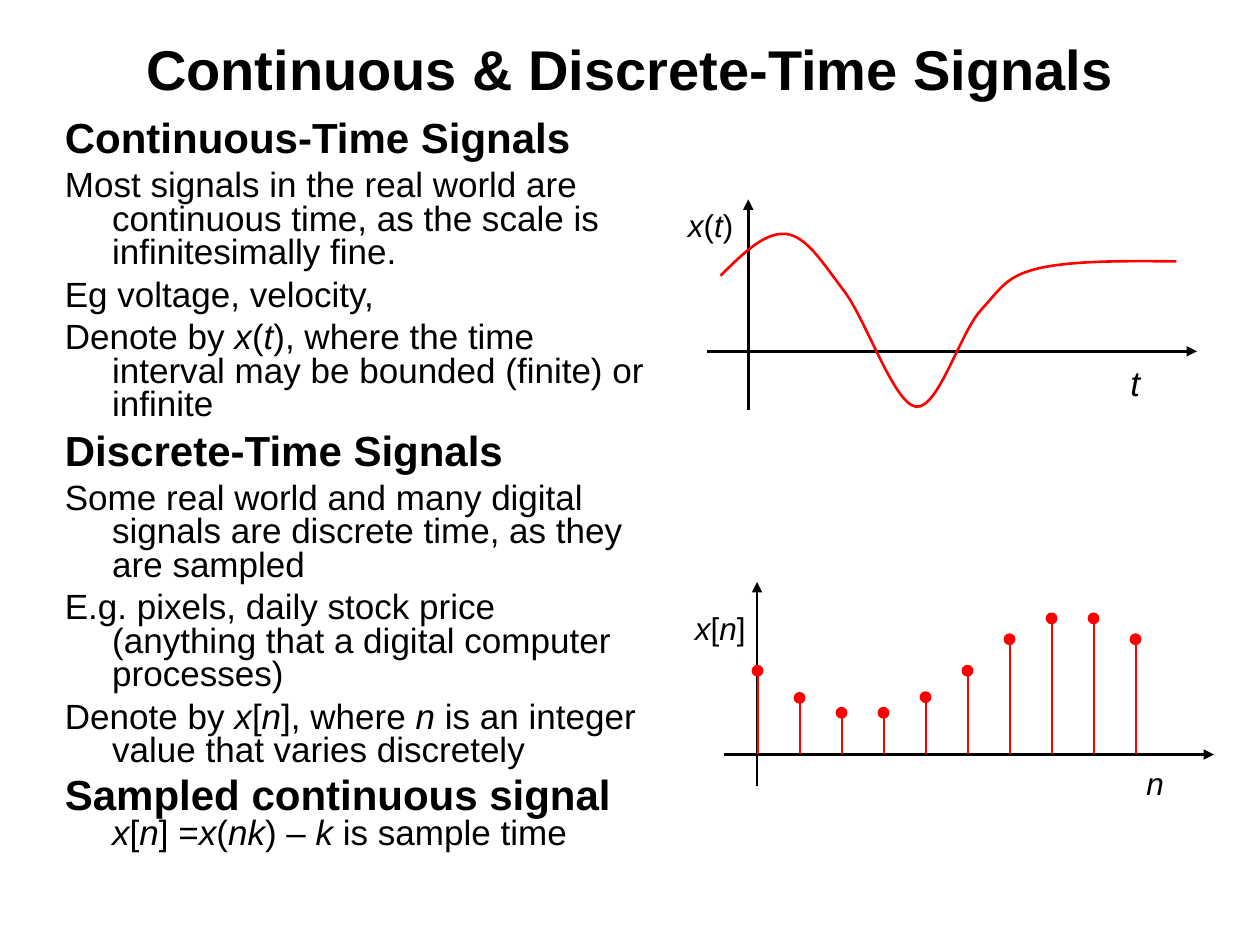
from dataclasses import dataclass

from lxml.etree import SubElement
from pptx import Presentation
from pptx.dml.color import RGBColor
from pptx.enum.shapes import MSO_CONNECTOR, MSO_SHAPE
from pptx.enum.text import MSO_ANCHOR, PP_ALIGN
from pptx.oxml.ns import qn
from pptx.slide import Slide
from pptx.text.text import TextFrame, _Paragraph as Paragraph
from pptx.util import Pt

BLACK = RGBColor(0x00, 0x00, 0x00)
RED = RGBColor(0xFF, 0x00, 0x00)
FONT = "Arial"
HEADING_SIZE, BODY_SIZE = 24, 20
LINE_WIDTH = 1.5
HANGING_INDENT = 27

Point = tuple[float, float]


@dataclass(frozen=True)
class Label:
    text: str
    left: float
    top: float
    width: float
    height: float
    size: float = 18


@dataclass(frozen=True)
class Axis:
    start: Point
    end: Point


@dataclass(frozen=True)
class Item:
    """A body paragraph: an optional heading, then text with _italic_ marks."""
    heading: str = ""
    text: str = ""


TITLE = Label("Continuous & Discrete-Time Signals", 54, 12, 612, 54, 32)
BODY = Label("", 30, 66, 348, 450)
ITEMS = [
    Item(heading="Continuous-Time Signals"),
    Item(text="Most signals in the real world are continuous time, "
              "as the scale is infinitesimally fine."),
    Item(text="Eg voltage, velocity,"),
    Item(text="Denote by _x_(_t_), where the time interval may be "
              "bounded (finite) or infinite"),
    Item(heading="Discrete-Time Signals"),
    Item(text="Some real world and many digital signals are discrete time, "
              "as they are sampled"),
    Item(text="E.g. pixels, daily stock price "
              "(anything that a digital computer processes)"),
    Item(text="Denote by _x_[_n_], where _n_ is an integer value "
              "that varies discretely"),
    Item("Sampled continuous signal ", "_x_[_n_] =_x_(_nk_) – _k_ is sample time"),
]

AXES = [
    Axis((404, 200.8), (684, 200.8)),
    Axis((427.6, 234), (427.6, 114)),
    Axis((413.8, 431.2), (693.8, 431.2)),
    Axis((432.6, 449.3), (432.6, 332.6)),
]
AXIS_LABELS = [
    Label("_x_(_t_)", 386, 114, 42.5, 28.8),
    Label("_t_", 638.8, 203, 20.2, 31.7, 20),
    Label("_x_[_n_]", 390, 344.2, 49, 28.8),
    Label("_n_", 648, 433.1, 20.9, 28.8),
]

# Start point, then cubic segments (control, control, end)
CURVE_START = (411.8, 157.5)
CURVE_SEGMENTS = [
    ((424.8, 144.7), (437, 132.5), (449.3, 133.7)),
    ((460.8, 135.2), (469.4, 149), (481.7, 165.4)),
    ((494.6, 181.4), (510.5, 230.4), (523.4, 232.4)),
    ((536.2, 234), (548.6, 190.1), (560.7, 177.1)),
    ((572.4, 164.2), (575.3, 157.7), (593.3, 153.4)),
    ((612, 149), (642.2, 149), (672.2, 149.4)),
]

STEM_LEFT, DOT_CENTER_LEFT = 433.2, 432.9
SAMPLE_STEP, SAMPLE_BASE = 24, 430.8
SAMPLE_TOPS = [383.3, 398.8, 407.3, 407.3, 398.4, 383.3, 365.3, 353.4, 353.4, 365.3]
DOT_SIZE = 6


def add_text_run(paragraph: Paragraph, text: str, size: float,
                 bold: bool = False, italic: bool = False) -> None:
    run = paragraph.add_run()
    run.text = text
    run.font.name = FONT
    run.font.size = Pt(size)
    run.font.bold = bold
    run.font.italic = italic
    run.font.color.rgb = BLACK


def add_marked_text(paragraph: Paragraph, text: str, size: float) -> None:
    for position, part in enumerate(text.split("_")):
        if part:
            add_text_run(paragraph, part, size, italic=position % 2 == 1)


def add_box(slide: Slide, label: Label, wrap: bool = False) -> TextFrame:
    box = slide.shapes.add_textbox(Pt(label.left), Pt(label.top),
                                   Pt(label.width), Pt(label.height))
    box.text_frame.word_wrap = wrap
    return box.text_frame


def add_title(slide: Slide) -> None:
    text_frame = add_box(slide, TITLE, wrap=True)
    text_frame.vertical_anchor = MSO_ANCHOR.MIDDLE
    paragraph = text_frame.paragraphs[0]
    paragraph.alignment = PP_ALIGN.CENTER
    add_text_run(paragraph, TITLE.text, TITLE.size, bold=True)


def add_body(slide: Slide) -> None:
    text_frame = add_box(slide, BODY, wrap=True)
    for index, item in enumerate(ITEMS):
        paragraph = text_frame.add_paragraph() if index else text_frame.paragraphs[0]
        properties = paragraph._p.get_or_add_pPr()
        properties.set("marL", str(Pt(HANGING_INDENT)))
        properties.set("indent", str(Pt(-HANGING_INDENT)))
        paragraph.line_spacing = 0.8
        if index:
            paragraph.space_before = Pt(5 if item.text else 6)
        if item.heading:
            add_text_run(paragraph, item.heading, HEADING_SIZE, bold=True)
        add_marked_text(paragraph, item.text, BODY_SIZE)


def add_line(slide: Slide, start: Point, end: Point, color: RGBColor,
             arrow: bool = False) -> None:
    connector = slide.shapes.add_connector(
        MSO_CONNECTOR.STRAIGHT, *(Pt(value) for value in (*start, *end)))
    connector.line.color.rgb = color
    connector.line.width = Pt(LINE_WIDTH)
    if arrow:
        SubElement(connector.line._get_or_add_ln(), qn("a:tailEnd"), type="triangle")
    SubElement(connector._element.spPr, qn("a:effectLst"))


def add_curve(slide: Slide) -> None:
    builder = slide.shapes.build_freeform(*(Pt(value) for value in CURVE_START))
    builder.add_line_segments([(Pt(x), Pt(y)) for segment in CURVE_SEGMENTS
                               for x, y in segment], close=False)
    curve = builder.convert_to_shape()
    # Every three straight steps become one cubic segment
    outline = next(curve._element.iter(qn("a:path")))
    steps = outline.findall(qn("a:lnTo"))
    for first in range(0, len(steps), 3):
        cubic = SubElement(outline, qn("a:cubicBezTo"))
        for step in steps[first:first + 3]:
            cubic.append(step[0])
            outline.remove(step)
    curve.shadow.inherit = False
    curve.fill.background()
    curve.line.color.rgb = RED
    curve.line.width = Pt(LINE_WIDTH)


def add_sample(slide: Slide, offset: float, top: float) -> None:
    stem_x = STEM_LEFT + offset
    add_line(slide, (stem_x, SAMPLE_BASE), (stem_x, top), RED)
    dot = slide.shapes.add_shape(
        MSO_SHAPE.OVAL, Pt(DOT_CENTER_LEFT + offset - DOT_SIZE / 2),
        Pt(top - DOT_SIZE / 2), Pt(DOT_SIZE), Pt(DOT_SIZE))
    dot.shadow.inherit = False
    dot.fill.solid()
    dot.fill.fore_color.rgb = RED
    dot.line.color.rgb = RED
    dot.line.width = Pt(0.75)


def main() -> None:
    presentation = Presentation()
    presentation.slide_width, presentation.slide_height = Pt(720), Pt(540)
    slide = presentation.slides.add_slide(presentation.slide_layouts[6])

    # Title and explanations
    add_title(slide)
    add_body(slide)

    # Axes of both graphs
    for axis in AXES:
        add_line(slide, axis.start, axis.end, BLACK, arrow=True)
    for label in AXIS_LABELS:
        add_marked_text(add_box(slide, label).paragraphs[0], label.text, label.size)

    # Continuous signal and discrete samples
    add_curve(slide)
    for index, top in enumerate(SAMPLE_TOPS):
        add_sample(slide, index * SAMPLE_STEP, top)

    presentation.save("out.pptx")


if __name__ == "__main__":
    main()
